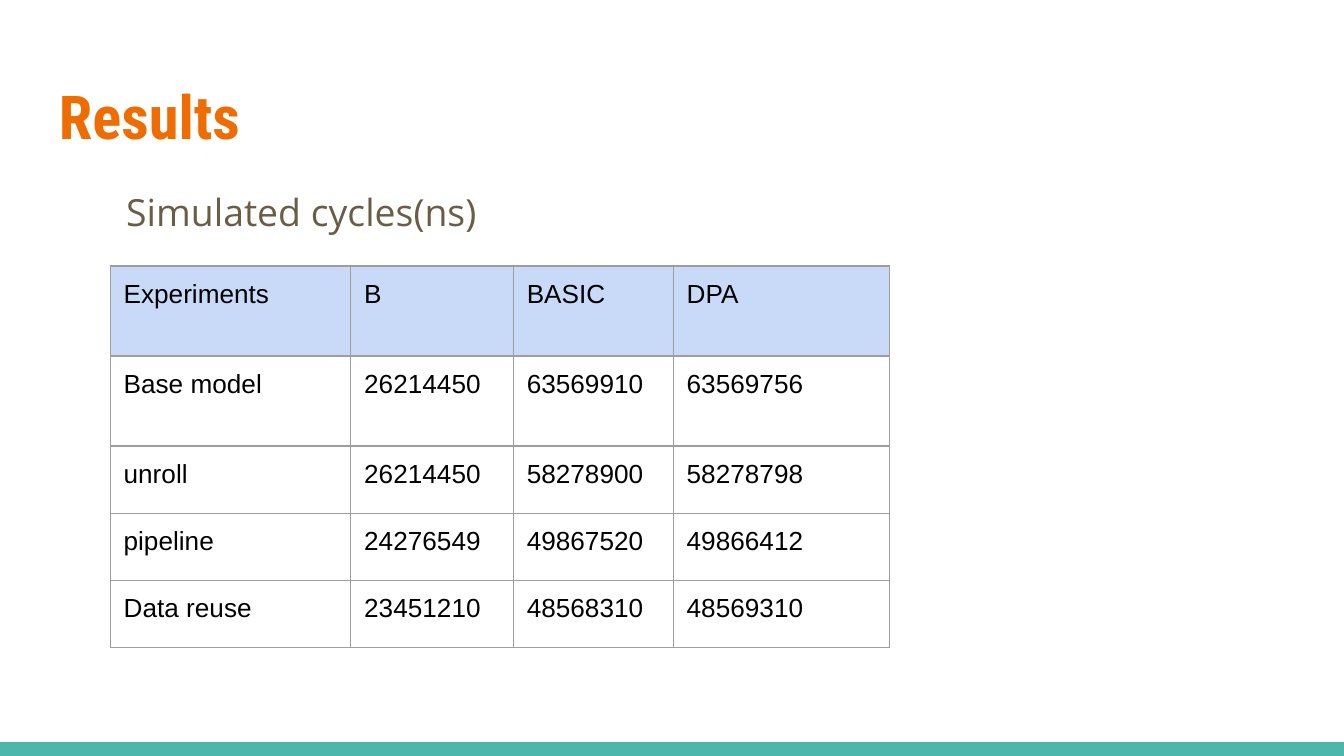
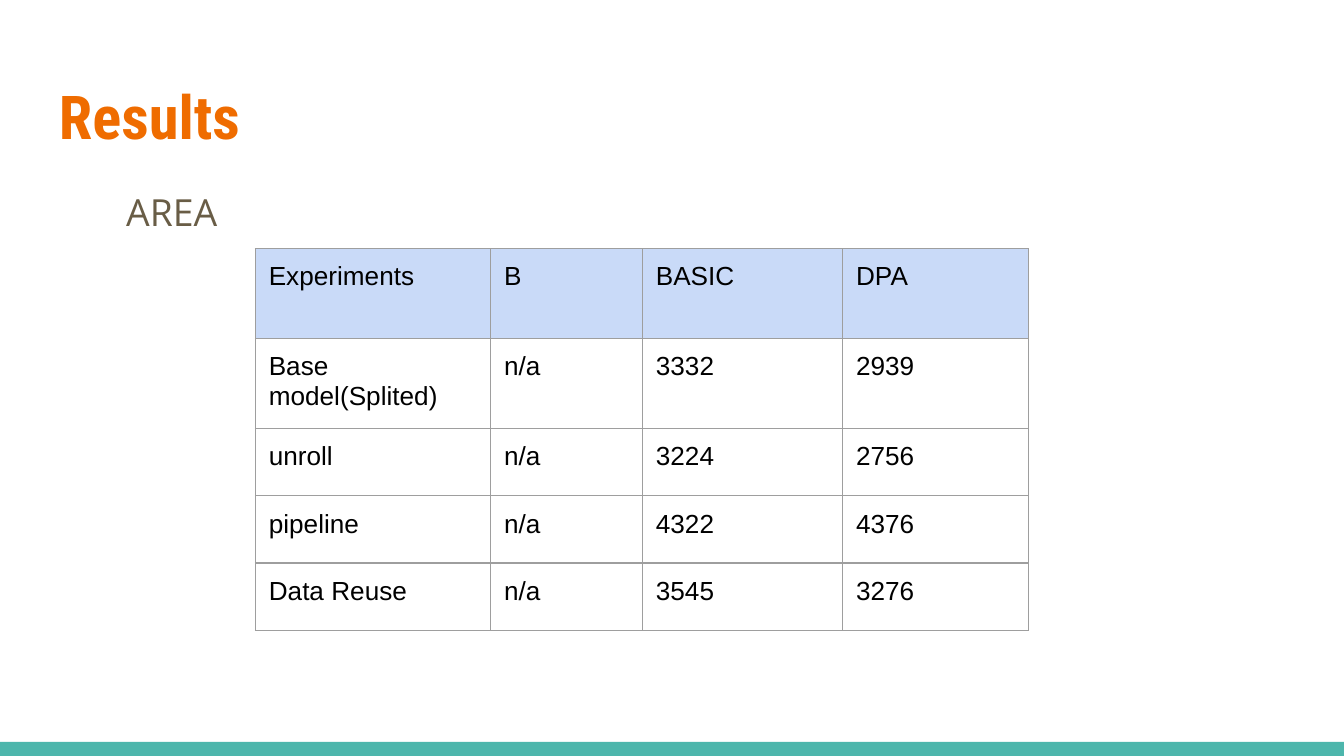
from lxml import etree
from pptx import Presentation
from pptx.dml.color import RGBColor
from pptx.enum.shapes import MSO_SHAPE
from pptx.enum.text import MSO_ANCHOR, PP_ALIGN
from pptx.oxml.ns import qn
from pptx.util import Inches, Pt

RECTANGLE = MSO_SHAPE.RECTANGLE
TOP = MSO_ANCHOR.TOP
LEFT = PP_ALIGN.LEFT

COLORS = {
    "background": "FFFFFF",
    "band": "4DB6AC",
    "title": "EF6C00",
    "subtitle": "695D46",
    "table_text": "000000",
    "table_header": "C9DAF8",
    "table_border": "9E9E9E",
}
FONTS = {"title": "Roboto Condensed", "subtitle": "Open Sans", "table_text": "Arial"}
SIZES = {"title": 32.4, "subtitle": 20, "table_text": 14}

SLIDE_WIDTH = 10
SLIDE_HEIGHT = SLIDE_WIDTH * 9 / 16
MARGIN = 0.34
PADDING = 0.1
ROW_HEIGHTS = [0.67, 0.67, 0.5, 0.5, 0.5]
HEADER = ["Experiments", "B", "BASIC", "DPA"]


class ResultsDeck:
    """Holds the shared style and the current slide."""

    def __init__(self):
        self.presentation = Presentation()
        self.presentation.slide_width = Inches(SLIDE_WIDTH)
        self.presentation.slide_height = Inches(SLIDE_HEIGHT)
        self.slide = None

    def color(self, name):
        return RGBColor.from_string(COLORS[name])

    def add_slide(self, subtitle):
        self.slide = self.presentation.slides.add_slide(self.presentation.slide_layouts[6])
        background = self.slide.background.fill
        background.solid()
        background.fore_color.rgb = self.color("background")
        self.add_band()
        self.add_text("Results", "title", 0.49, 0.77)
        paragraph = self.add_text(subtitle, "subtitle", 1.26, 3.74)
        paragraph.line_spacing = 1.15
        paragraph.space_after = Pt(12)
        properties = paragraph._p.get_or_add_pPr()
        properties.set("marL", str(Inches(0.5)))
        properties.set("indent", "0")

    def add_band(self):
        band = self.slide.shapes.add_shape(
            RECTANGLE, 0, Inches(5.52), Inches(SLIDE_WIDTH), Inches(0.11))
        band.shadow.inherit = False
        band.fill.solid()
        band.fill.fore_color.rgb = self.color("band")
        band.line.fill.background()

    def style_text(self, text_frame, style):
        text_frame.word_wrap = True
        paragraph = text_frame.paragraphs[0]
        paragraph.alignment = LEFT
        for run in paragraph.runs:
            run.font.name = FONTS[style]
            run.font.size = Pt(SIZES[style])
            run.font.bold = style == "title"
            run.font.color.rgb = self.color(style)
        return paragraph

    def set_padding(self, holder):
        holder.margin_left = holder.margin_right = Inches(PADDING)
        holder.margin_top = holder.margin_bottom = Inches(PADDING)
        holder.vertical_anchor = TOP

    def add_text(self, text, style, top, height):
        box = self.slide.shapes.add_textbox(
            Inches(MARGIN), Inches(top), Inches(SLIDE_WIDTH - 2 * MARGIN), Inches(height))
        self.set_padding(box.text_frame)
        box.text_frame.text = text
        return self.style_text(box.text_frame, style)

    def add_borders(self, cell):
        properties = cell._tc.get_or_add_tcPr()
        for side in ("lnL", "lnR", "lnT", "lnB"):
            line = etree.SubElement(properties, qn(f"a:{side}"), w=str(Pt(0.75)))
            fill = etree.SubElement(line, qn("a:solidFill"))
            etree.SubElement(fill, qn("a:srgbClr"), val=COLORS["table_border"])

    def add_table(self, left, top, column_widths, records):
        rows = [HEADER] + records
        table = self.slide.shapes.add_table(
            len(rows), len(HEADER), Inches(left), Inches(top),
            Inches(sum(column_widths)), Inches(sum(ROW_HEIGHTS))).table
        table.horz_banding = False
        for column, width in zip(table.columns, column_widths):
            column.width = Inches(width)
        for row, height in zip(table.rows, ROW_HEIGHTS):
            row.height = Inches(height)
        for row_index, values in enumerate(rows):
            for column_index, value in enumerate(values):
                cell = table.cell(row_index, column_index)
                cell.text_frame.text = value
                self.style_text(cell.text_frame, "table_text")
                self.set_padding(cell)
                self.add_borders(cell)
                if row_index == 0:
                    cell.fill.solid()
                    cell.fill.fore_color.rgb = self.color("table_header")
                else:
                    cell.fill.background()


def main():
    deck = ResultsDeck()

    # Simulated cycles
    deck.add_slide("Simulated cycles(ns)")
    deck.add_table(0.82, 1.98, [1.79, 1.21, 1.19, 1.61], [
        ["Base model", "26214450", "63569910", "63569756"],
        ["unroll", "26214450", "58278900", "58278798"],
        ["pipeline", "24276549", "49867520", "49866412"],
        ["Data reuse", "23451210", "48568310", "48569310"],
    ])

    # Area
    deck.add_slide("AREA")
    deck.add_table(1.9, 1.85, [1.75, 1.13, 1.49, 1.38], [
        ["Base model(Splited)", "n/a", "3332", "2939"],
        ["unroll", "n/a", "3224", "2756"],
        ["pipeline", "n/a", "4322", "4376"],
        ["Data Reuse", "n/a", "3545", "3276"],
    ])

    deck.presentation.save("out.pptx")


if __name__ == "__main__":
    main()
